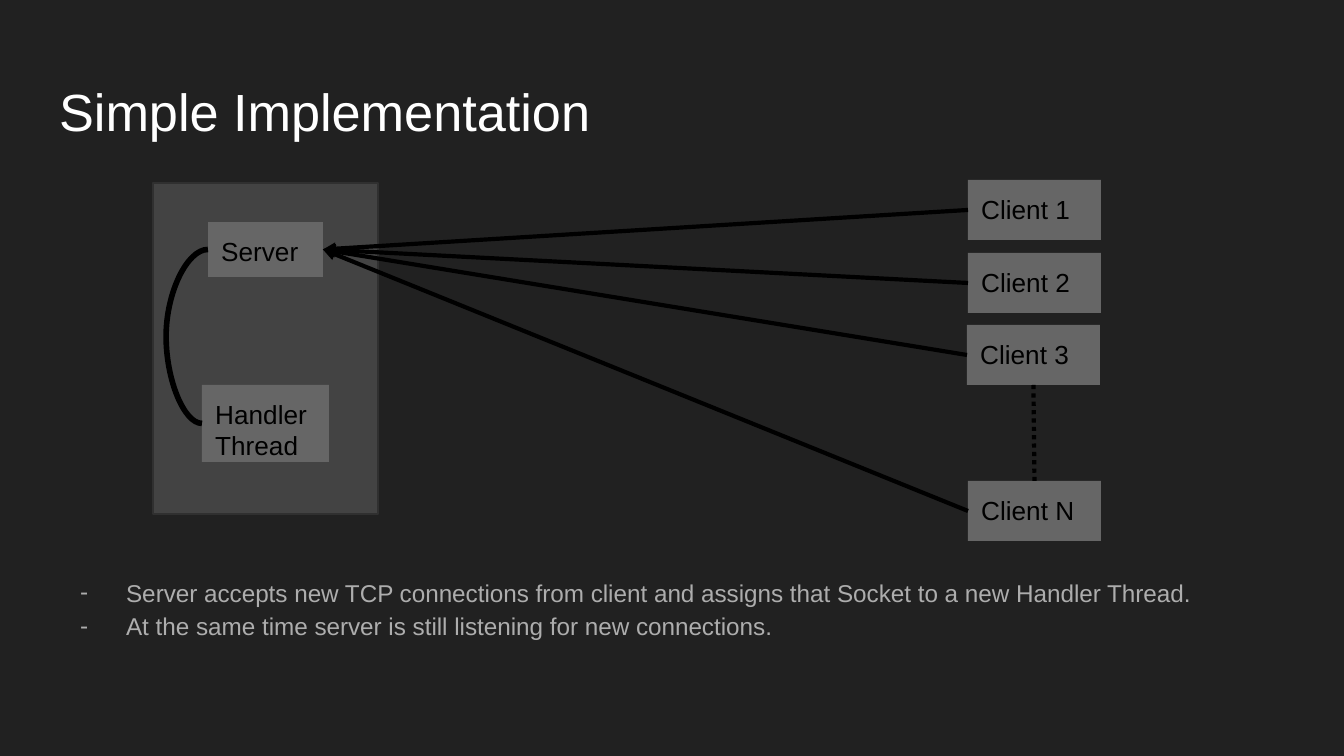
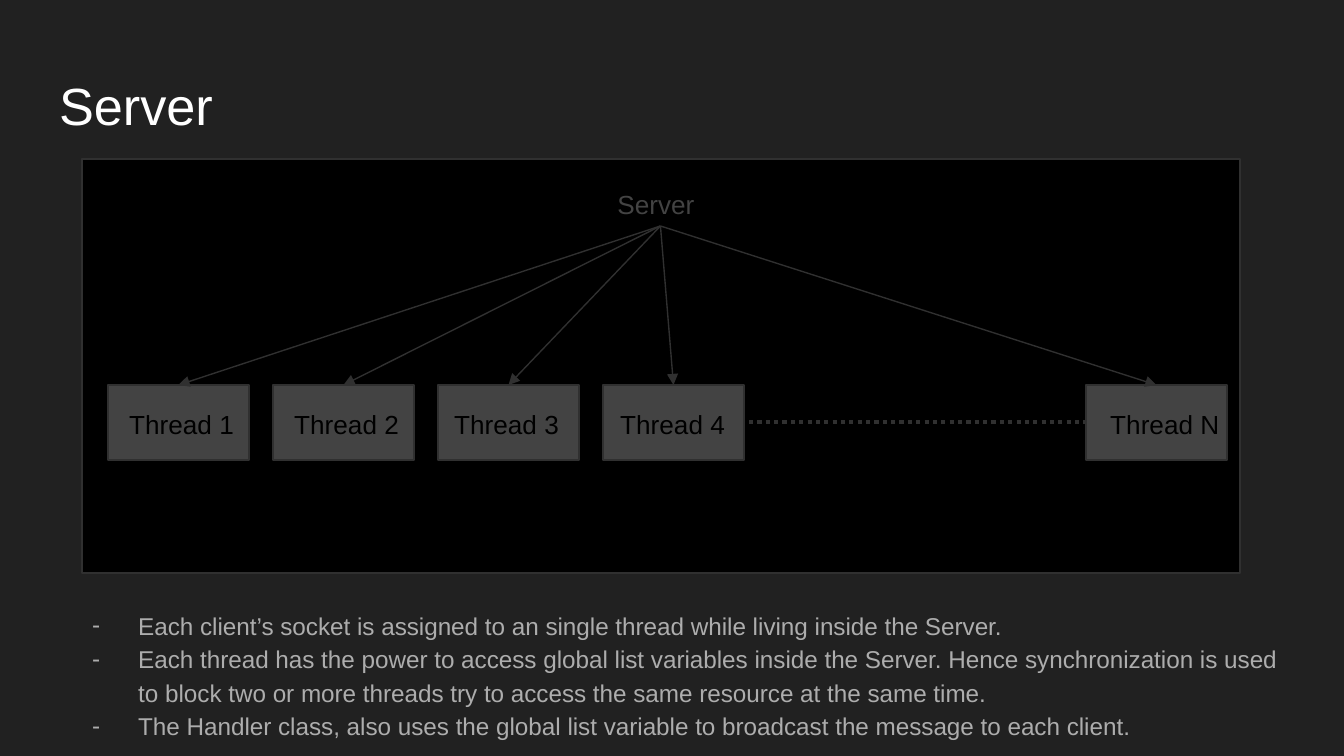
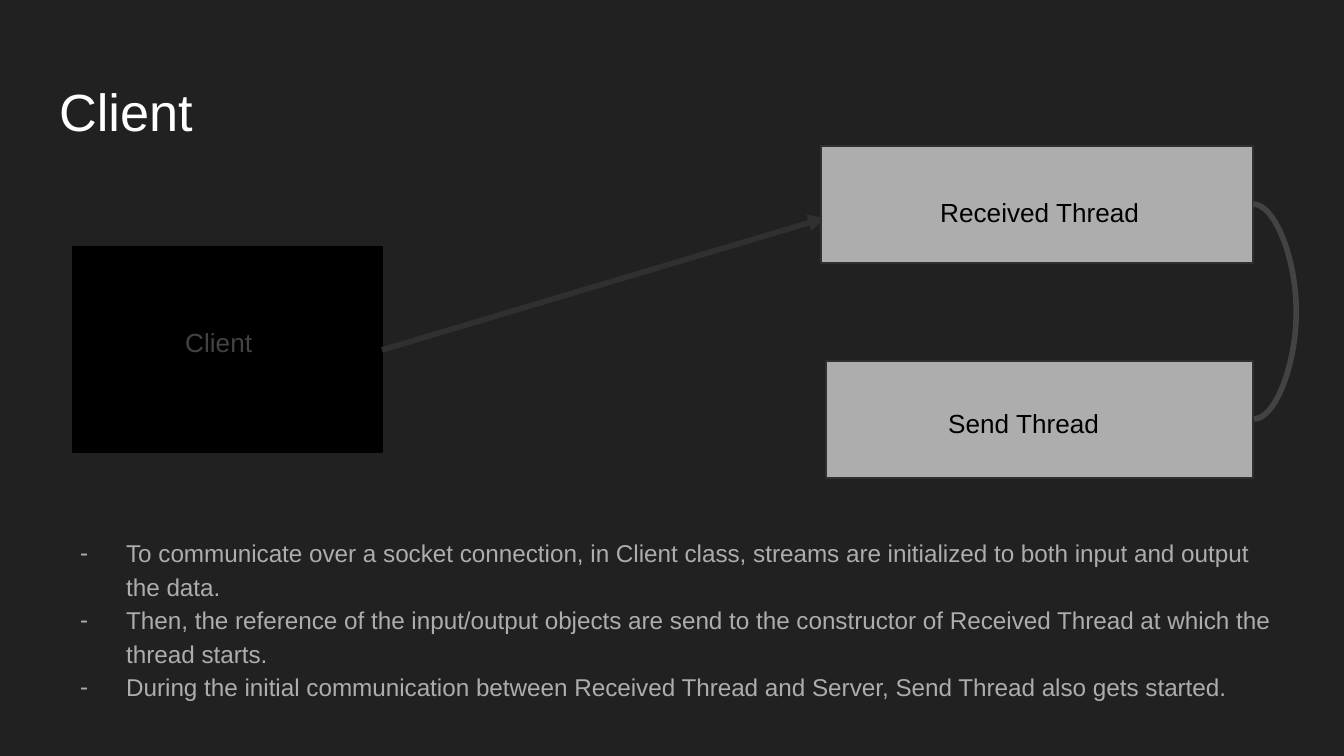
from dataclasses import dataclass

from lxml import etree
from pptx import Presentation
from pptx.dml.color import RGBColor
from pptx.enum.dml import MSO_LINE
from pptx.enum.shapes import MSO_CONNECTOR, MSO_SHAPE
from pptx.enum.text import MSO_ANCHOR, PP_ALIGN
from pptx.oxml.ns import qn
from pptx.util import Pt

RECTANGLE = MSO_SHAPE.RECTANGLE
STRAIGHT = MSO_CONNECTOR.STRAIGHT
CURVE = MSO_CONNECTOR.CURVE
DOTTED = MSO_LINE.ROUND_DOT
TOP = MSO_ANCHOR.TOP
LEFT = PP_ALIGN.LEFT


@dataclass(frozen=True)
class Theme:
    font: str = "Arial"
    background: str = "212121"
    title: str = "FFFFFF"
    body: str = "ADADAD"
    ink: str = "000000"
    edge: str = "303030"
    dark: str = "434343"
    mid: str = "666666"
    light: str = "ADADAD"
    title_size: int = 28
    label_size: int = 14
    body_size: int = 13
    thin: float = 0.75
    medium: float = 2.25
    thick: float = 3


THEME = Theme()
WIDTH, HEIGHT = 1344, 756
SCALE = 914400 / 134.4
INSET = 13.44
MARGIN = 46
TEXT_WIDTH = 1253
TITLE_HEIGHT = 84
BULLET_MARGIN, BULLET_HANG = 67, 46

OVERVIEW = {
    "title": ("Simple Implementation", 66),
    "bullets": [
        "Server accepts new TCP connections from client and assigns that Socket to a new Handler Thread.",
        "At the same time server is still listening for new connections.",
    ],
    "bullet_box": (MARGIN, 560, TEXT_WIDTH, 112),
    "host": (153, 183, 225, 331),
    "server": ("Server", (208, 222, 115, 55)),
    "handler": ("Handler\nThread", (202, 385, 127, 77)),
    "clients": [("Client 1", 968, 180), ("Client 2", 968, 253),
                ("Client 3", 967, 325), ("Client N", 968, 481)],
    "client_size": (133, 60),
    "loop_left": 166,
}

SERVER = {
    "title": ("Server", 60),
    "bullets": [
        "Each client’s socket is assigned to an single thread while living inside the Server.",
        "Each thread has the power to access global list variables inside the Server. Hence synchronization is used to block two or more threads try to access the same resource at the same time.",
        "The Handler class, also uses the global list variable to broadcast the message to each client.",
    ],
    "bullet_box": (58, 593, 1241, 124),
    "panel": (82, 159, 1158, 414),
    "label": ("Server", (590, 175, 141, 51), 14),
    "threads": [("Thread 1", 0, 8, 133), ("Thread 2", 165, 8, 133),
                ("Thread 3", 330, 3, 133), ("Thread 4", 495, 4, 133),
                ("Thread N", 978, 11, 141)],
    "first_thread": (108, 385, 141, 75),
    "label_drop": 10,
    "label_height": 38,
    "dots": ((749, 422), (1086, 422)),
}

CLIENT = {
    "title": ("Client", 66),
    "bullets": [
        "To communicate over a socket connection, in Client class, streams are initialized to both input and output the data.",
        "Then, the reference of the input/output objects are send to the constructor of Received Thread at which the thread starts.",
        "During the initial communication between Received Thread and Server, Send Thread also gets started.",
    ],
    "bullet_box": (MARGIN, 521, TEXT_WIDTH, 151),
    "client": ("Client", (73, 247, 309, 205), (172, 313, 185, 65)),
    "threads": [
        ("Received Thread", (821, 146, 432, 117), (927, 183, 271, 42)),
        ("Send Thread", (826, 361, 427, 117), (935, 394, 271, 42)),
    ],
    "arrow": ((382, 350), (825, 218)),
    "loop": ((1253, 204), (1254, 419), 1296),
}


def px(value):
    return round(value * SCALE)


def rgb(value):
    return RGBColor.from_string(value)


def write(shape, text, size, color, indent=0):
    frame = shape.text_frame
    frame.text = text
    frame.word_wrap = True
    frame.vertical_anchor = TOP
    frame.margin_left = px(INSET + indent)
    frame.margin_right = frame.margin_top = frame.margin_bottom = px(INSET)
    for paragraph in frame.paragraphs:
        paragraph.alignment = LEFT
        for run in paragraph.runs:
            run.font.name = THEME.font
            run.font.size = Pt(size)
            run.font.color.rgb = rgb(color)
    return frame


def text_box(slide, text, box, size=THEME.label_size, color=THEME.ink, indent=0):
    shape = slide.shapes.add_textbox(*map(px, box))
    return write(shape, text, size, color, indent)


def rectangle(slide, box, fill, edge=None, text=None):
    shape = slide.shapes.add_shape(RECTANGLE, *map(px, box))
    shape.shadow.inherit = False
    shape.fill.solid()
    shape.fill.fore_color.rgb = rgb(fill)
    if edge:
        shape.line.color.rgb = rgb(edge)
        shape.line.width = Pt(THEME.thin)
    else:
        shape.line.fill.background()
    if text:
        write(shape, text, THEME.label_size, THEME.ink)


def connect(slide, start, end, color, width, arrow=False, dotted=False, kind=STRAIGHT):
    connector = slide.shapes.add_connector(kind, *map(px, (*start, *end)))
    connector.line.color.rgb = rgb(color)
    connector.line.width = Pt(width)
    if dotted:
        connector.line.dash_style = DOTTED
    properties = connector._element.spPr
    if arrow:
        line = properties.find(qn("a:ln"))
        etree.SubElement(line, qn("a:tailEnd"), type="triangle")
    etree.SubElement(properties, qn("a:effectLst"))
    return connector


def loop(slide, start, end, bulge, color):
    connector = connect(slide, start, end, color, THEME.thick, kind=CURVE)
    ratio = (bulge - start[0]) / (end[0] - start[0])
    geometry = connector._element.spPr.find(qn("a:prstGeom"))
    guides = geometry.find(qn("a:avLst"))
    if guides is None:
        guides = etree.SubElement(geometry, qn("a:avLst"))
    etree.SubElement(guides, qn("a:gd"), name="adj1", fmla=f"val {round(ratio * 100000)}")


def left_of(box):
    return box[0], box[1] + box[3] / 2


def right_of(box):
    return box[0] + box[2], box[1] + box[3] / 2


def top_of(box):
    return box[0] + box[2] / 2, box[1]


def bottom_of(box):
    return box[0] + box[2] / 2, box[1] + box[3]


def add_bullets(slide, items, box):
    frame = text_box(slide, "\n".join(items), box, THEME.body_size, THEME.body)
    for paragraph in frame.paragraphs:
        paragraph.line_spacing = 1.15
        properties = paragraph._p.get_or_add_pPr()
        properties.set("marL", str(px(BULLET_MARGIN)))
        properties.set("indent", str(-px(BULLET_HANG)))
        color = etree.SubElement(properties, qn("a:buClr"))
        etree.SubElement(color, qn("a:srgbClr"), val=THEME.body)
        etree.SubElement(properties, qn("a:buFont"), typeface=THEME.font)
        etree.SubElement(properties, qn("a:buChar"), char="-")


def start_slide(deck, content):
    slide = deck.slides.add_slide(deck.slide_layouts[6])
    slide.background.fill.solid()
    slide.background.fill.fore_color.rgb = rgb(THEME.background)
    title, top = content["title"]
    text_box(slide, title, (MARGIN, top, TEXT_WIDTH, TITLE_HEIGHT), THEME.title_size, THEME.title)
    add_bullets(slide, content["bullets"], content["bullet_box"])
    return slide


def draw_overview(slide, content):
    rectangle(slide, content["host"], THEME.dark, THEME.edge)
    server, server_box = content["server"]
    handler, handler_box = content["handler"]
    rectangle(slide, server_box, THEME.mid, text=server)
    rectangle(slide, handler_box, THEME.mid, text=handler)
    client_boxes = []
    for client, left, top in content["clients"]:
        box = (left, top, *content["client_size"])
        rectangle(slide, box, THEME.mid, text=client)
        client_boxes.append(box)
    loop(slide, left_of(server_box), left_of(handler_box), content["loop_left"], THEME.ink)
    connect(slide, bottom_of(client_boxes[-2]), top_of(client_boxes[-1]),
            THEME.ink, THEME.medium, dotted=True)
    for box in client_boxes:
        connect(slide, left_of(box), right_of(server_box), THEME.ink, THEME.medium, arrow=True)


def draw_server(slide, content):
    rectangle(slide, content["panel"], THEME.ink, THEME.edge)
    server, server_box, indent = content["label"]
    text_box(slide, server, server_box, color=THEME.dark, indent=indent)
    left, top, width, height = content["first_thread"]
    for thread, offset, shift, label_width in content["threads"]:
        box = (left + offset, top, width, height)
        rectangle(slide, box, THEME.dark, THEME.edge)
        text_box(slide, thread, (box[0] + shift, top + content["label_drop"],
                                 label_width, content["label_height"]))
        connect(slide, bottom_of(server_box), top_of(box), THEME.edge, THEME.thin, arrow=True)
    connect(slide, *content["dots"], THEME.edge, THEME.medium, dotted=True)


def draw_client(slide, content):
    client, client_box, label_box = content["client"]
    rectangle(slide, client_box, THEME.ink, THEME.ink)
    connect(slide, *content["arrow"], THEME.edge, THEME.thick, arrow=True)
    for thread, box, thread_label in content["threads"]:
        rectangle(slide, box, THEME.light, THEME.edge)
        text_box(slide, thread, thread_label)
    text_box(slide, client, label_box, color=THEME.dark)
    loop(slide, *content["loop"], THEME.dark)


deck = Presentation()
deck.slide_width, deck.slide_height = px(WIDTH), px(HEIGHT)
for content, draw in ((OVERVIEW, draw_overview), (SERVER, draw_server), (CLIENT, draw_client)):
    draw(start_slide(deck, content), content)
deck.save("out.pptx")
